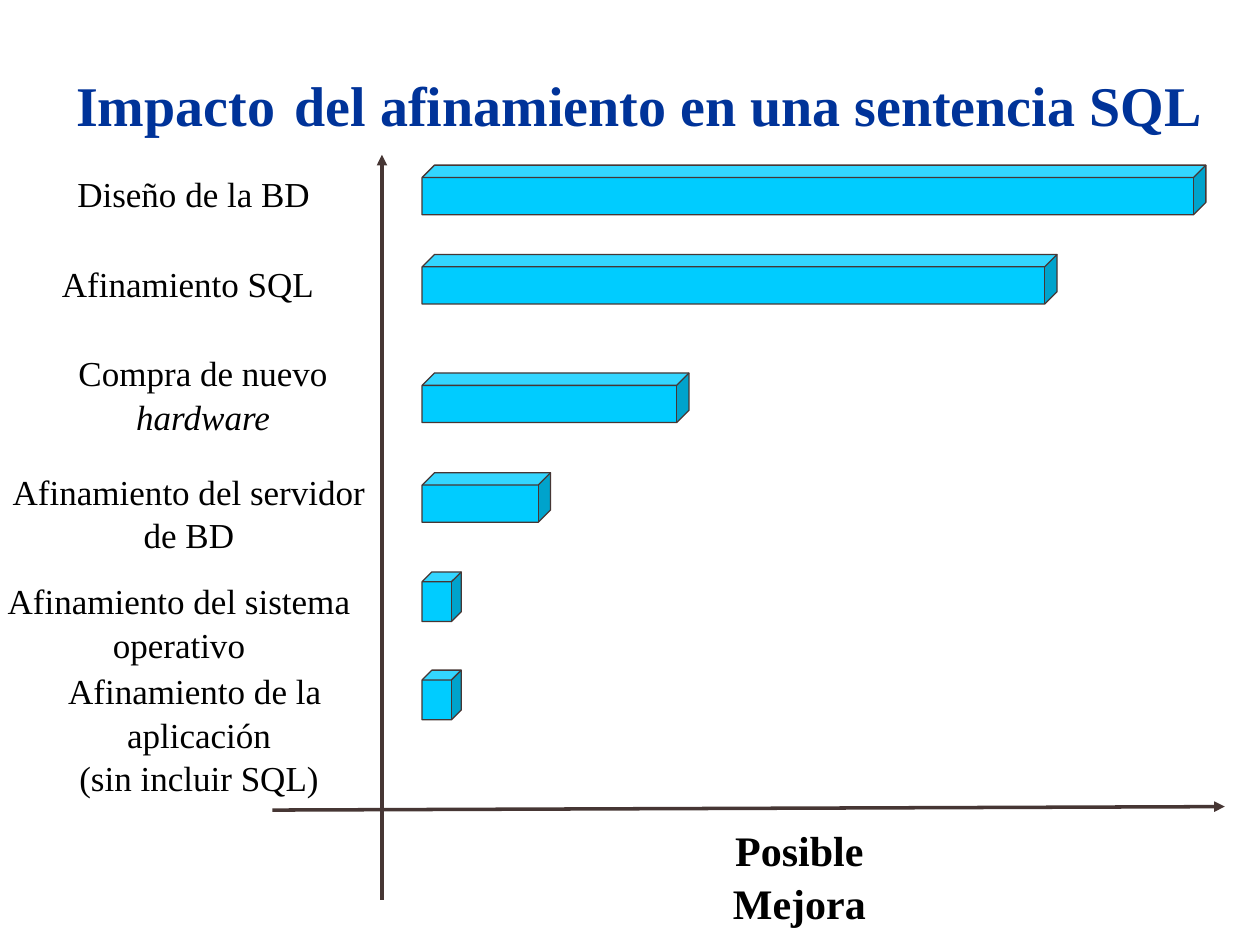
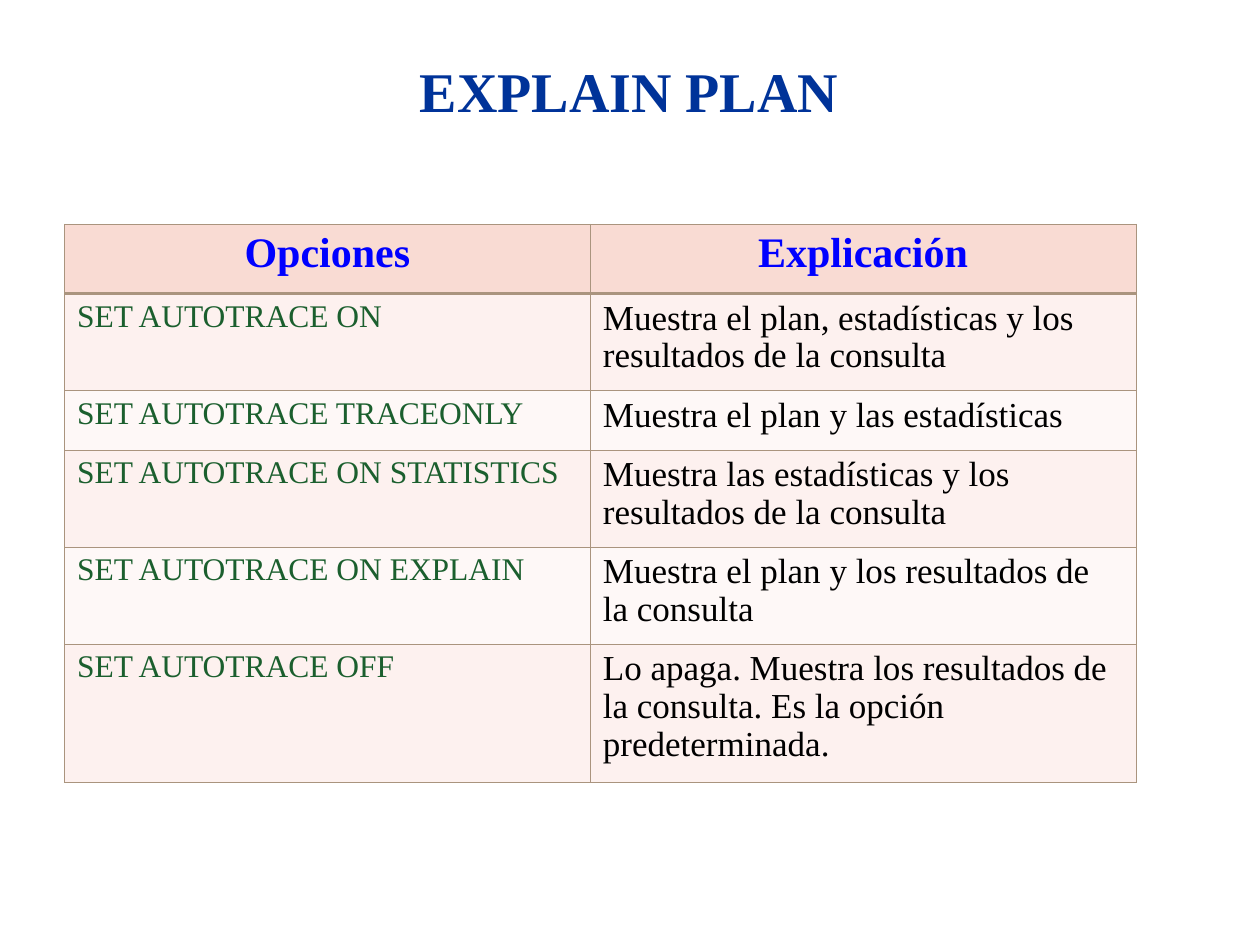
from lxml import etree
from pptx import Presentation
from pptx import util as u
from pptx.dml import color
from pptx.enum import shapes, text
from pptx.oxml import ns

Cm, Pt = u.Cm, u.Pt
FONT = "Times New Roman"
COLORS = {
    "title": "003399", "title_gap": "795241", "ink": "000000", "axis": "463634",
    "bar": "00CCFF", "heading": "0000FF", "command": "1B5F2E", "border": "AA947E",
    "header_fill": "F9DBD3", "odd_fill": "FDF1EF", "even_fill": "FEF8F7",
}
TITLE = {"size": Pt(32), "bold": True, "color": "title"}
LABEL = {"size": Pt(20), "bold": False, "color": "ink"}
AXIS_TITLE = {"size": Pt(24), "bold": True, "color": "ink"}
HEADING = {"size": Pt(24), "bold": True, "color": "heading"}
COMMAND = {"size": Pt(18), "bold": False, "color": "command"}
CENTER = text.PP_ALIGN.CENTER


def rgb(name):
    return color.RGBColor.from_string(COLORS[name])


def add_run(paragraph, words, style):
    run = paragraph.add_run()
    run.text = words
    run.font.name = FONT
    for name, value in style.items():
        if name == "color":
            run.font.color.rgb = rgb(value)
        else:
            setattr(run.font, name, value)


def set_title(slide, box, runs, anchor):
    """Format the title placeholder and fill it with (words, style) runs."""
    title = slide.shapes.title
    title.left, title.top, title.width, title.height = map(Cm, box)
    settings = {"margin_top": Cm(0.3), "vertical_anchor": anchor, "word_wrap": True,
                "auto_size": text.MSO_AUTO_SIZE.NONE}
    for name, value in settings.items():
        setattr(title.text_frame, name, value)
    paragraph = title.text_frame.paragraphs[0]
    paragraph.alignment = CENTER
    for words, style in runs:
        add_run(paragraph, words, style)


def add_label(slide, box, lines, style, wrap=False):
    """Centred text box; each line is a list of (words, extra style) runs."""
    frame = slide.shapes.add_textbox(*map(Cm, box)).text_frame
    frame.word_wrap = wrap
    for index, runs in enumerate(lines):
        paragraph = frame.add_paragraph() if index else frame.paragraphs[0]
        paragraph.alignment = CENTER
        paragraph.line_spacing = 1.04
        for words, extra in runs:
            add_run(paragraph, words, {**style, **extra})


def add_axis(slide, start, end, arrow_end):
    axis = slide.shapes.add_connector(
        shapes.MSO_CONNECTOR.STRAIGHT, *map(Cm, start + end))
    axis.line.color.rgb = rgb("axis")
    axis.line.width = Pt(2)
    line = axis.line._get_or_add_ln()
    etree.SubElement(line, ns.qn("a:" + arrow_end), type="triangle")
    etree.SubElement(axis._element.spPr, ns.qn("a:effectLst"))


def add_bar(slide, box):
    bar = slide.shapes.add_shape(shapes.MSO_SHAPE.CUBE, *map(Cm, box))
    bar.shadow.inherit = False
    bar.fill.solid()
    bar.fill.fore_color.rgb = rgb("bar")
    bar.line.color.rgb = rgb("axis")
    bar.line.width = Pt(0.75)


def draw_impact(slide, box, rows):
    """Horizontal bars with their labels and two arrowed axes."""
    left, top, width, height = box
    axis_x, bar_x, bar_height = left + 7.7, left + 8.51, 1
    add_axis(slide, (axis_x, top), (axis_x, top + height), "headEnd")
    add_axis(slide, (left + 5.49, top + 13.21), (left + width, top + 13.14), "tailEnd")
    add_label(slide, (left + 13.13, top + 13.34, 5.97, 1.27),
              [[("Posible Mejora", {})]], AXIS_TITLE)
    for lines, (x, y, label_width), bar_y, bar_width, wrap in rows:
        label_height = 0.28 + 0.84 * (2 if wrap else len(lines))
        add_label(slide, (left + x, top + y, label_width, label_height),
                  lines, LABEL, wrap)
        add_bar(slide, (bar_x, top + bar_y, bar_width, bar_height))


def set_borders(cell, widths):
    """Add left, right, top and bottom borders, ahead of the cell fill."""
    properties = cell._tc.get_or_add_tcPr()
    for index, (side, width) in enumerate(zip("LRTB", widths)):
        line = etree.Element(ns.qn("a:ln" + side), w=str(Pt(width)))
        fill = etree.SubElement(line, ns.qn("a:solidFill"))
        etree.SubElement(fill, ns.qn("a:srgbClr"), val=COLORS["border"])
        properties.insert(index, line)


def draw_options(slide, box, column_widths, row_heights, rows):
    """Two-column table: a heading row, then alternating fills."""
    table = slide.shapes.add_table(len(rows), len(column_widths), *map(Cm, box)).table
    for column, width in zip(table.columns, column_widths):
        column.width = Cm(width)
    thin, thick = 0.45, 1.5
    for index, (row, height, words) in enumerate(zip(table.rows, row_heights, rows)):
        row.height = Cm(height)
        heading = index == 0
        fill = "header_fill" if heading else "odd_fill" if index % 2 else "even_fill"
        styles = (HEADING, HEADING) if heading else (COMMAND, LABEL)
        for cell, entry, style in zip(row.cells, words, styles):
            cell.fill.solid()
            cell.fill.fore_color.rgb = rgb(fill)
            set_borders(cell, (thin, thin, thick if index == 1 else thin,
                               thick if heading else thin))
            paragraph = cell.text_frame.paragraphs[0]
            paragraph.alignment = CENTER if heading else text.PP_ALIGN.LEFT
            paragraph.line_spacing = 1 if heading else 0.97
            add_run(paragraph, entry, style)


# Label lines, label (x, y, width), bar y, bar width, wrapped label
IMPACT_ROWS = [
    ([[("Diseño de la BD", {})]], (1.3, 0.21, 5.21), 0.21, 15.8, False),
    ([[("Afinamiento SQL", {})]], (0.69, 2.01, 6.2), 2.01, 12.8, False),
    ([[("Compra de nuevo ", {}), ("hardware", {"italic": True})]],
     (1.3, 3.81, 5.59), 4.4, 5.38, True),
    ([[("Afinamiento del servidor", {})], [("de BD", {})]],
     (0, 6.2, 7.62), 6.41, 2.59, False),
    ([[("Afinamiento del sistema", {})], [("operativo", {})]],
     (-0.1, 8.41, 7.42), 8.41, 0.79, False),
    ([[("Afinamiento de la ", {})], [("aplicación", {})], [("(sin incluir SQL)", {})]],
     (1.12, 10.22, 5.79), 10.39, 0.79, False),
]
OPTION_ROWS = [
    ("Opciones", "Explicación"),
    ("SET AUTOTRACE ON", "Muestra el plan, estadísticas y los resultados de la consulta"),
    ("SET AUTOTRACE TRACEONLY", "Muestra el plan y las estadísticas"),
    ("SET AUTOTRACE ON STATISTICS",
     "Muestra las estadísticas y los resultados de la consulta"),
    ("SET AUTOTRACE ON EXPLAIN", "Muestra el plan y los resultados de la consulta"),
    ("SET AUTOTRACE OFF",
     "Lo apaga. Muestra los resultados de la consulta. Es la opción predeterminada."),
]

presentation = Presentation()
presentation.slide_width, presentation.slide_height = Cm(25.4), Cm(19.05)
title_only = presentation.slide_layouts[5]

# Slide 1: impact of tuning
slide = presentation.slides.add_slide(title_only)
gap = {"size": Pt(44), "bold": False, "color": "title_gap"}
set_title(slide, (1.09, 0.53, 23.6, 2.64),
          [("Impacto", TITLE), (" ", gap),
           ("del afinamiento en una sentencia SQL", TITLE)],
          text.MSO_ANCHOR.MIDDLE)
draw_impact(slide, (0, 3.12, 24.69, 15.02), IMPACT_ROWS)

# Slide 2: table of options
slide = presentation.slides.add_slide(title_only)
set_title(slide, (2.74, 0.84, 19.89, 1.63), [("EXPLAIN PLAN", TITLE)],
          text.MSO_ANCHOR.TOP)
draw_options(slide, (1.3, 4.52, 21.6, 11.26), (10.6, 11),
             (1.4, 1.96, 1.19, 1.96, 1.96, 2.79), OPTION_ROWS)

presentation.save("out.pptx")
